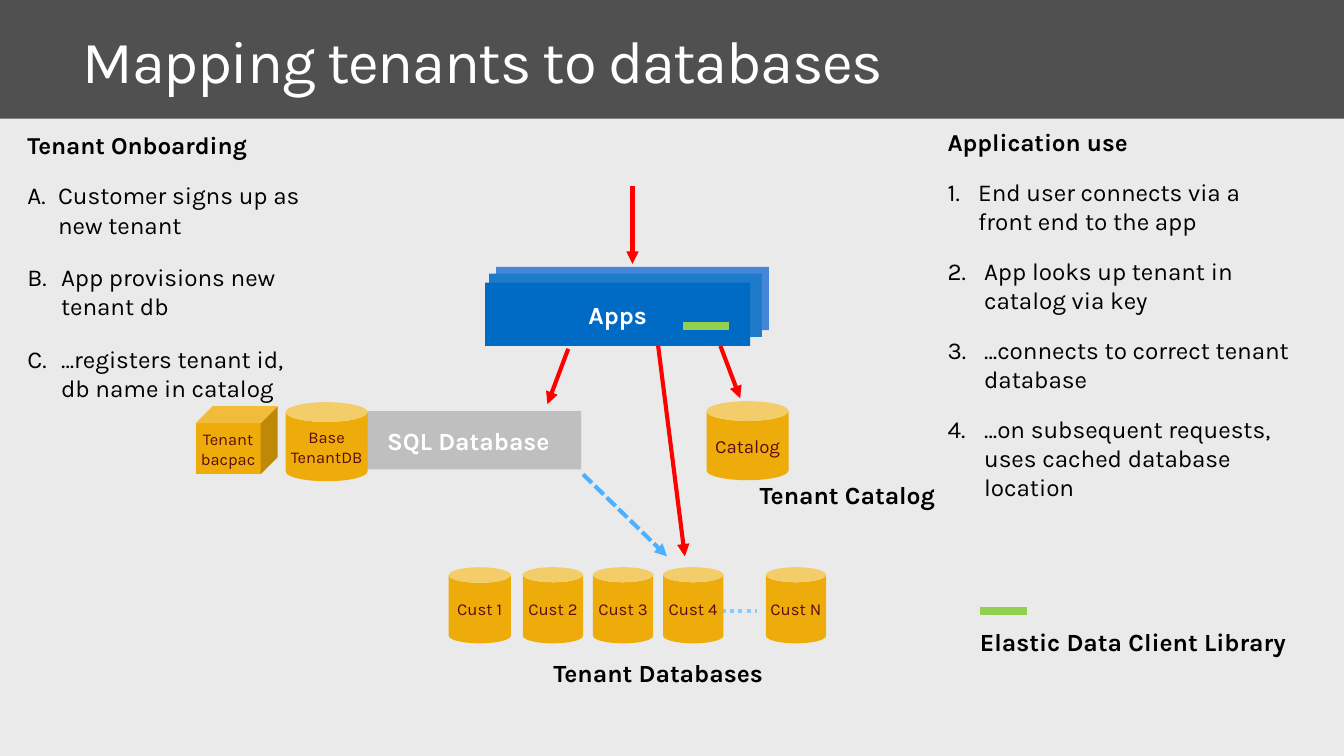
import pptx
import pptx.util
import pptx.dml.color
import pptx.enum.dml
import pptx.enum.shapes
import pptx.enum.text
import pptx.oxml.ns
import lxml.etree

Inches = pptx.util.Inches
RGBColor = pptx.dml.color.RGBColor
Shape = pptx.enum.shapes.MSO_SHAPE
Align = pptx.enum.text.PP_ALIGN
Dash = pptx.enum.dml.MSO_LINE
qn = pptx.oxml.ns.qn

BACKGROUND = RGBColor(0xEA, 0xEA, 0xEA)
HEADER = RGBColor(0x50, 0x50, 0x50)
GOLD = RGBColor(0xED, 0xAC, 0x09)
MAROON = RGBColor(0x5A, 0x0C, 0x0F)
GREY = RGBColor(0xBF, 0xBF, 0xBF)
APP_BACK = RGBColor(0x44, 0x87, 0xD8)
APP_MIDDLE = RGBColor(0x1D, 0x7B, 0xC9)
APP_FRONT = RGBColor(0x00, 0x6B, 0xC4)
RED = RGBColor(0xFF, 0x00, 0x00)
DOT_BLUE = RGBColor(0x89, 0xCB, 0xFF)
DASH_BLUE = RGBColor(0x4E, 0xB1, 0xFF)
GREEN = RGBColor(0x92, 0xD0, 0x50)
BLACK = RGBColor(0, 0, 0)
WHITE = RGBColor(0xFF, 0xFF, 0xFF)

presentation = pptx.Presentation()
presentation.slide_width = Inches(13.6)
presentation.slide_height = Inches(7.65)
slide = presentation.slides.add_slide(presentation.slide_layouts[6])
slide.background.fill.solid()
slide.background.fill.fore_color.rgb = BACKGROUND


def write(shape, text, size, color, bold=False, align=Align.LEFT):
    shape.text_frame.word_wrap = True
    paragraph = shape.text_frame.paragraphs[0]
    paragraph.text = text
    paragraph.alignment = align
    for run in paragraph.runs:
        font_format = {"name": "Karla", "size": pptx.util.Pt(size), "bold": bold}
        for name, value in font_format.items():
            setattr(run.font, name, value)
        run.font.color.rgb = color
    return paragraph


def draw_line(start, end, color, width=3, dash=None, arrow=False):
    points = [Inches(value) for value in (*start, *end)]
    connector = slide.shapes.add_connector(
        pptx.enum.shapes.MSO_CONNECTOR.STRAIGHT, *points)
    connector.line.color.rgb = color
    connector.line.width = pptx.util.Pt(width)
    if dash:
        connector.line.dash_style = dash
    if arrow:
        line_properties = connector.line._get_or_add_ln()
        lxml.etree.SubElement(line_properties, qn("a:tailEnd"), type="triangle")
    lxml.etree.SubElement(connector._element.spPr, qn("a:effectLst"))


draw_line((6.72, 6.18), (7.66, 6.18), DOT_BLUE, dash=Dash.ROUND_DOT)

red_arrows = [
    ((6.4, 1.88), (6.4, 2.67)),
    ((5.75, 3.53), (5.54, 4.09)),
    ((6.66, 3.5), (6.93, 5.63)),
    ((7.29, 3.5), (7.49, 4.03)),
]
for start, end in red_arrows:
    draw_line(start, end, RED, arrow=True)
draw_line((5.9, 4.8), (6.75, 5.63), DASH_BLUE, dash=Dash.SQUARE_DOT, arrow=True)

blocks = [
    (Shape.RECTANGLE, 0, -0.02, 13.6, 1.22, HEADER, "", 18),
    (Shape.RECTANGLE, 3.6, 4.16, 2.28, 0.59, GREY, "SQL Database", 18),
    (Shape.RECTANGLE, 5.02, 2.7, 2.76, 0.64, APP_BACK, "", 18),
    (Shape.RECTANGLE, 4.95, 2.77, 2.76, 0.64, APP_MIDDLE, "", 18),
    (Shape.RECTANGLE, 4.91, 2.86, 2.68, 0.64, APP_FRONT, "Apps", 18),
    (Shape.CUBE, 1.98, 4.11, 0.83, 0.69, GOLD, "Tenant\nbacpac", 12),
    (Shape.CAN, 2.89, 4.07, 0.83, 0.8, GOLD, "Base\nTenantDB", 12),
    (Shape.CAN, 7.15, 4.06, 0.83, 0.8, GOLD, "Catalog", 13.6),
]
customers = [("1", 4.54, 0.63), ("2", 5.29, 0.61), ("3", 6, 0.61),
             ("4", 6.71, 0.61), ("N", 7.75, 0.61)]
for customer, left, width in customers:
    blocks.append((Shape.CAN, left, 5.74, width, 0.77, GOLD, f"Cust {customer}", 12.2))

for kind, left, top, width, height, fill, label, size in blocks:
    block = slide.shapes.add_shape(
        kind, Inches(left), Inches(top), Inches(width), Inches(height))
    block.shadow.inherit = False
    block.fill.solid()
    block.fill.fore_color.rgb = fill
    block.line.fill.background()
    if label:
        stored = fill == GOLD
        frame_format = {"vertical_anchor": pptx.enum.text.MSO_ANCHOR.MIDDLE}
        if stored:
            for side in ("left", "top", "right", "bottom"):
                frame_format[f"margin_{side}"] = 0
        for name, value in frame_format.items():
            setattr(block.text_frame, name, value)
        write(block, label, size, MAROON if stored else WHITE, not stored, Align.CENTER)

for left, top in [(6.91, 3.3), (9.92, 6.18)]:
    draw_line((left, top), (left + 0.47, top), GREEN, width=6)

title = slide.shapes.add_textbox(Inches(0.68), Inches(0.22), Inches(12.92), Inches(0.91))
title_format = {"margin_left": 0.16, "margin_right": 0.16,
                "margin_top": 0.1, "margin_bottom": 0.1}
for name, value in title_format.items():
    setattr(title.text_frame, name, Inches(value))
title_paragraph = write(title, "Mapping tenants to databases", 43.5, WHITE)
title_paragraph.line_spacing = 0.9
title_paragraph.runs[0].font._element.set("spc", "-100")

captions = [
    (5.1, 6.61, 3.12, "Tenant Databases", 18, Align.CENTER),
    (7.52, 4.81, 2.11, "Tenant Catalog", 18, Align.CENTER),
    (9.75, 6.29, 3.43, "Elastic Data Client Library", 18, Align.CENTER),
    (0.18, 1.27, 3.3, "Tenant Onboarding", 17.7, Align.LEFT),
    (9.49, 1.24, 3.72, "Application use", 17.7, Align.LEFT),
]
for left, top, width, text, size, align in captions:
    caption = slide.shapes.add_textbox(
        Inches(left), Inches(top), Inches(width), Inches(0.4))
    write(caption, text, size, BLACK, True, align)

step_lists = [
    (0.18, 1.78, 0.825, [
        ("A.", "Customer signs up as new tenant", 3.3, 0.31),
        ("B.", "App provisions new tenant db", 3.03, 0.34),
        ("C.", "…registers tenant id, db name in catalog", 3.03, 0.34),
    ]),
    (9.49, 1.74, 0.8, [
        ("1.", "End user connects via a front end to the app", 3.72, 0.31),
        ("2.", "App looks up tenant in catalog via key", 3.57, 0.37),
        ("3.", "…connects to correct tenant database", 3.95, 0.37),
        ("4.", "…on subsequent requests, uses cached database location", 3.95, 0.37),
    ]),
]
for left, first_top, pitch, steps in step_lists:
    for index, (marker, text, width, indent) in enumerate(steps):
        step = slide.shapes.add_textbox(
            Inches(left), Inches(first_top + index * pitch), Inches(width), Inches(0.7))
        paragraph = write(step, f"{marker}\t{text}", 17.7, BLACK)
        properties = paragraph._p.get_or_add_pPr()
        for name, value in {"marL": indent, "indent": -indent}.items():
            properties.set(name, str(int(Inches(value))))

presentation.save("out.pptx")
